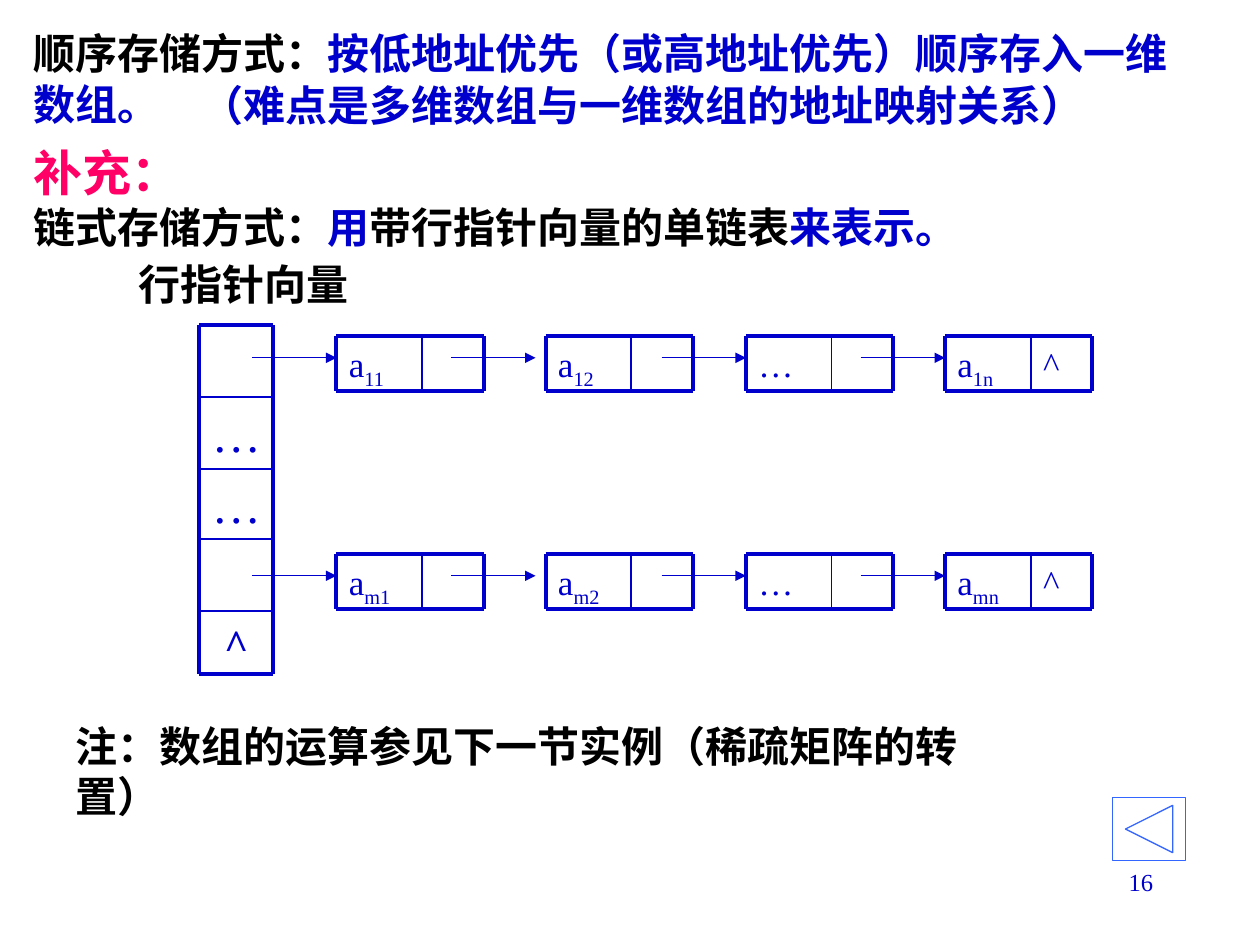
from lxml import etree
from pptx import Presentation
from pptx.dml.color import RGBColor
from pptx.enum.shapes import MSO_CONNECTOR, MSO_SHAPE
from pptx.enum.text import MSO_ANCHOR, PP_ALIGN
from pptx.oxml.ns import qn
from pptx.util import Inches, Pt

LEFT, CENTER, RIGHT = PP_ALIGN.LEFT, PP_ALIGN.CENTER, PP_ALIGN.RIGHT
TOP, MIDDLE = MSO_ANCHOR.TOP, MSO_ANCHOR.MIDDLE
STRAIGHT = MSO_CONNECTOR.STRAIGHT
BACK_BUTTON = MSO_SHAPE.ACTION_BUTTON_FORWARD_OR_NEXT

FONT = "Times New Roman"
BLUE, BLACK, PINK, SKY = "0000CC", "000000", "FF0066", "3366FF"
THICK, THIN, ARROW = 2.25, 1, 0.75

TITLE = [("顺序存储方式：", 24, BLACK), ("按低地址优先（或高地址优先）顺序存入一维数组。", 24, BLUE)]
DIFFICULTY = [("（难点是多维数组与一维数组的地址映射关系）", 24, BLUE)]
SUPPLEMENT = [
    ("补充：", 28, PINK), ("\n", 28, PINK), ("链式存储方式：", 24, BLACK), ("用", 24, BLUE),
    ("带行指针向量的单链表", 24, BLACK), ("来表示。", 24, BLUE),
]
VECTOR_LABEL = [("行指针向量", 24, BLACK)]
NOTE = [("注：数组的运算参见下一节实例（稀疏矩阵的转置）", 24, BLACK)]
PAGE = [("16", 14, BLUE)]

VECTOR_X, VECTOR_W = 1.58, 0.59
VECTOR_Y = [2.58, 3.15, 3.72, 4.28, 4.85, 5.35]
VECTOR_CELLS = [("", 28, False), ("…", 28, False), ("…", 28, False), ("", 28, False), ("^", 24, True)]

NODE_X = [2.67, 4.33, 5.92, 7.5]
NODE_W, NODE_H, DATA_W = 1.17, 0.43, 0.68
ARROW_X, ARROW_W, ARROW_DY = [2, 3.58, 5.25, 6.83], 0.67, 0.17
ROWS = [
    (2.67, [("a", "11"), ("a", "12"), ("…", ""), ("a", "1n")]),
    (4.4, [("a", "m1"), ("a", "m2"), ("…", ""), ("a", "mn")]),
]


def rgb(value):
    """Turn a hex string into a colour."""
    return RGBColor.from_string(value)


def add_text(s, box, runs, bold=True, align=LEFT, anchor=TOP, wrap=True):
    """Add a text box of (text, size, colour) runs and return its paragraph."""
    tf = s.shapes.add_textbox(*map(Inches, box)).text_frame
    tf.word_wrap = wrap
    tf.vertical_anchor = anchor
    p = tf.paragraphs[0]
    p.alignment = align
    for text, size, color in runs:
        if text == "\n":
            p.add_line_break()
            continue
        r = p.add_run()
        r.text = text
        r.font.name, r.font.size, r.font.bold = FONT, Pt(size), bold
        r.font.color.rgb = rgb(color)
    return p


def add_line(s, x1, y1, x2, y2, width, arrow=False):
    """Add a blue line, with an arrowhead at its end if asked."""
    cxn = s.shapes.add_connector(STRAIGHT, *map(Inches, (x1, y1, x2, y2)))
    cxn.line.color.rgb = rgb(BLUE)
    cxn.line.width = Pt(width)
    if arrow:
        etree.SubElement(cxn.line._get_or_add_ln(), qn("a:tailEnd"), type="triangle")
    etree.SubElement(cxn._element.spPr, qn("a:effectLst"))


def add_frame(s, x, y, w, h):
    """Add the four thick sides of a box."""
    for side in (y, y + h):
        add_line(s, x, side, x + w, side, THICK)
    for side in (x, x + w):
        add_line(s, side, y, side, y + h, THICK)


def add_vector(s):
    """Add the column of row pointers."""
    for (text, size, bold), y, end in zip(VECTOR_CELLS, VECTOR_Y, VECTOR_Y[1:]):
        if text:
            add_text(s, (VECTOR_X, y, VECTOR_W, end - y), [(text, size, BLUE)], bold, CENTER)
    for y in VECTOR_Y[1:-1]:
        add_line(s, VECTOR_X, y, VECTOR_X + VECTOR_W, y, THIN)
    add_frame(s, VECTOR_X, VECTOR_Y[0], VECTOR_W, VECTOR_Y[-1] - VECTOR_Y[0])


def add_row(s, y, nodes):
    """Add one linked list of nodes with its arrows."""
    for x, (name, index) in zip(NODE_X, nodes):
        runs = [(name, 20, BLUE)] + ([(index, 20, BLUE)] if index else [])
        p = add_text(s, (x, y, DATA_W, NODE_H), runs, False)
        if index:
            p.runs[1].font._element.set("baseline", "-25000")
        add_frame(s, x, y, NODE_W, NODE_H)
        add_line(s, x + DATA_W, y, x + DATA_W, y + NODE_H, THIN)
    end = NODE_X[-1] + DATA_W
    add_text(s, (end, y, NODE_W - DATA_W, NODE_H), [("^", 20, BLUE)], False)
    for x in ARROW_X:
        add_line(s, x, y + ARROW_DY, x + ARROW_W, y + ARROW_DY, ARROW, True)


def add_back_button(s):
    """Add the mirrored navigation button."""
    sp = s.shapes.add_shape(BACK_BUTTON, *map(Inches, (8.83, 6.33, 0.58, 0.5)))
    sp.shadow.inherit = False
    sp.fill.background()
    sp.line.color.rgb = rgb(SKY)
    sp.line.width = Pt(0.75)
    sp._element.spPr.xfrm.set("flipH", "1")


def main():
    """Build the slide and save it."""
    prs = Presentation()
    prs.slide_width, prs.slide_height = Inches(10), Inches(7.5)
    s = prs.slides.add_slide(prs.slide_layouts[6])
    add_text(s, (7.17, 6.83, 2.08, 0.5), PAGE, False, RIGHT)
    add_text(s, (0.17, 0.08, 9.25, 1.08), TITLE, anchor=MIDDLE)
    add_vector(s)
    add_text(s, (1, 2, 1.88, 0.5), VECTOR_LABEL, wrap=False)
    for y, nodes in ROWS:
        add_row(s, y, nodes)
    add_back_button(s)
    add_text(s, (0.17, 1.08, 7.75, 0.97), SUPPLEMENT)
    add_text(s, (0.5, 5.67, 7.83, 0.5), NOTE)
    add_text(s, (1.5, 0.58, 7.2, 0.5), DIFFICULTY, wrap=False)
    prs.save("out.pptx")


if __name__ == "__main__":
    main()
